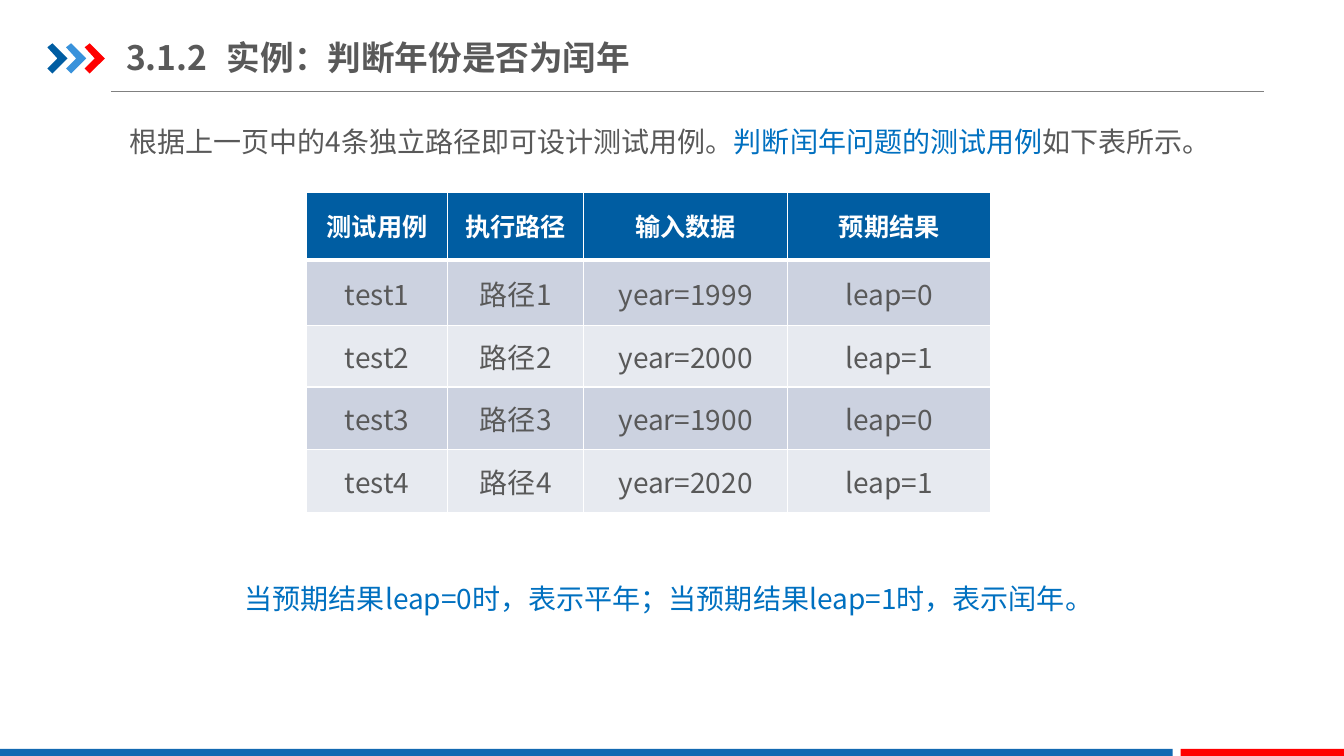
"""Builds the slide with test cases for the leap-year example."""
from lxml import etree
from pptx import Presentation
from pptx.dml.color import RGBColor
from pptx.enum.shapes import MSO_CONNECTOR, MSO_SHAPE
from pptx.enum.text import MSO_ANCHOR, MSO_AUTO_SIZE, PP_ALIGN
from pptx.oxml.ns import qn
from pptx.util import Inches, Pt

RECTANGLE, STRAIGHT = MSO_SHAPE.RECTANGLE, MSO_CONNECTOR.STRAIGHT
MIDDLE, NO_AUTOFIT = MSO_ANCHOR.MIDDLE, MSO_AUTO_SIZE.NONE
LEFT, CENTER, JUSTIFY = PP_ALIGN.LEFT, PP_ALIGN.CENTER, PP_ALIGN.JUSTIFY

FONT = "Noto Sans CJK SC"
GREY, BLUE, NAVY, RED, WHITE = "595959", "0070C0", "005DA2", "FF0000", "FFFFFF"
BANDS = ["CCD2E0", "E7EAF0"]

TITLE = "3.1.2\t实例：判断年份是否为闰年"
INTRO = [
    ("根据上一页中的4条独立路径即可设计测试用例。", GREY),
    ("判断闰年问题的测试用例", BLUE),
    ("如下表所示。", GREY),
]
NOTE = [("当预期结果leap=0时，表示平年；当预期结果leap=1时，表示闰年。", BLUE)]
TEST_CASES = [
    ("测试用例", "执行路径", "输入数据", "预期结果"),
    ("test1", "路径1", "year=1999", "leap=0"),
    ("test2", "路径2", "year=2000", "leap=1"),
    ("test3", "路径3", "year=1900", "leap=0"),
    ("test4", "路径4", "year=2020", "leap=1"),
]
COLUMN_WIDTHS = [1.4, 1.35, 2.02, 2.02]
ROW_HEIGHTS = [0.67, 0.65, 0.61, 0.62, 0.63]
CHEVRON_COLORS = [NAVY, "3992DB", RED]
CHEVRON_POINTS = [(0, 0.04), (0.05, 0), (0.2, 0.15), (0.05, 0.3), (0, 0.25), (0.1, 0.15)]
FOOTER_BARS = [(0, 11.63, "1369B2"), (11.71, 1.63, RED)]


def rgb(color):
    return RGBColor.from_string(color)


def format_run(run, size, color, bold=False):
    run.font.size, run.font.bold, run.font.name = Pt(size), bold, FONT
    run.font.color.rgb = rgb(color)
    latin = run.font._element.find(qn("a:latin"))
    latin.addnext(latin.makeelement(qn("a:ea"), {"typeface": FONT}))


def paint(shape, color):
    shape.shadow.inherit = False
    shape.fill.solid()
    shape.fill.fore_color.rgb = rgb(color)
    shape.line.fill.background()


def set_insets(frame, horizontal, vertical):
    frame.margin_left = frame.margin_right = Inches(horizontal)
    frame.margin_top = frame.margin_bottom = Inches(vertical)


def set_borders(cell, widths):
    properties = cell._tc.get_or_add_tcPr()
    for index, (side, width) in enumerate(zip("LRTB", widths)):
        line = etree.Element(qn(f"a:ln{side}"), w=str(Pt(width)))
        fill = etree.SubElement(line, qn("a:solidFill"))
        etree.SubElement(fill, qn("a:srgbClr"), val=WHITE)
        properties.insert(index, line)


def add_decoration(slide):
    rule = slide.shapes.add_connector(STRAIGHT, Inches(1.1), Inches(0.91), Inches(12.54), Inches(0.91))
    rule.line.color.rgb = rgb("808080")
    rule.line.width = Pt(0.75)
    etree.SubElement(rule._element.spPr, qn("a:effectLst"))
    for index, color in enumerate(CHEVRON_COLORS):
        left = 0.47 + index * 0.185
        points = [(Inches(left + x), Inches(0.43 + y)) for x, y in CHEVRON_POINTS]
        builder = slide.shapes.build_freeform(*points[0])
        builder.add_line_segments(points[1:], close=True)
        paint(builder.convert_to_shape(), color)
    for left, width, color in FOOTER_BARS:
        bar = slide.shapes.add_shape(RECTANGLE, Inches(left), Inches(7.43), Inches(width), Inches(0.09))
        paint(bar, color)


def add_title(slide):
    title = slide.shapes.title
    title.left, title.top, title.width, title.height = map(Inches, (1.25, 0.29, 5.79, 0.55))
    frame = title.text_frame
    frame.text = TITLE
    frame.auto_size, frame.vertical_anchor = NO_AUTOFIT, MIDDLE
    set_insets(frame, 0, 0.07)
    frame.paragraphs[0].alignment = LEFT
    format_run(frame.paragraphs[0].runs[0], 24, GREY, True)


def add_text(slide, box, parts, alignment, spacing, insets):
    frame = slide.shapes.add_textbox(*map(Inches, box)).text_frame
    frame.word_wrap = True
    set_insets(frame, *insets)
    paragraph = frame.paragraphs[0]
    paragraph.alignment, paragraph.line_spacing = alignment, spacing
    for text, color in parts:
        run = paragraph.add_run()
        run.text = text
        format_run(run, 20, color)


def add_test_table(slide):
    table = slide.shapes.add_table(
        len(TEST_CASES), len(COLUMN_WIDTHS), Inches(3.04), Inches(1.91),
        Inches(sum(COLUMN_WIDTHS)), Inches(sum(ROW_HEIGHTS))).table
    for column, width in zip(table.columns, COLUMN_WIDTHS):
        column.width = Inches(width)
    for row_index, values in enumerate(TEST_CASES):
        table.rows[row_index].height = Inches(ROW_HEIGHTS[row_index])
        header = row_index == 0
        for cell, value in zip(table.rows[row_index].cells, values):
            cell.text = value
            cell.vertical_anchor = MIDDLE
            cell.fill.solid()
            cell.fill.fore_color.rgb = rgb(NAVY if header else BANDS[(row_index - 1) % 2])
            set_borders(cell, (1, 1, 3 if row_index == 1 else 1, 3 if header else 1))
            paragraph = cell.text_frame.paragraphs[0]
            paragraph.alignment = CENTER
            paragraph.line_spacing = 0.9 if header else 1.0
            format_run(paragraph.runs[0], 18 if header else 20, WHITE if header else GREY, header)


def main():
    presentation = Presentation()
    presentation.slide_width, presentation.slide_height = Inches(13.33), Inches(7.5)
    slide = presentation.slides.add_slide(presentation.slide_layouts[5])
    add_decoration(slide)
    add_text(slide, (1.15, 1, 11.2, 0.77), INTRO, JUSTIFY, 1.5, (0.13, 0.07))
    add_title(slide)
    add_test_table(slide)
    add_text(slide, (2.33, 5.72, 8.66, 0.44), NOTE, LEFT, 1.0, (0.1, 0.05))
    presentation.save("out.pptx")


if __name__ == "__main__":
    main()
